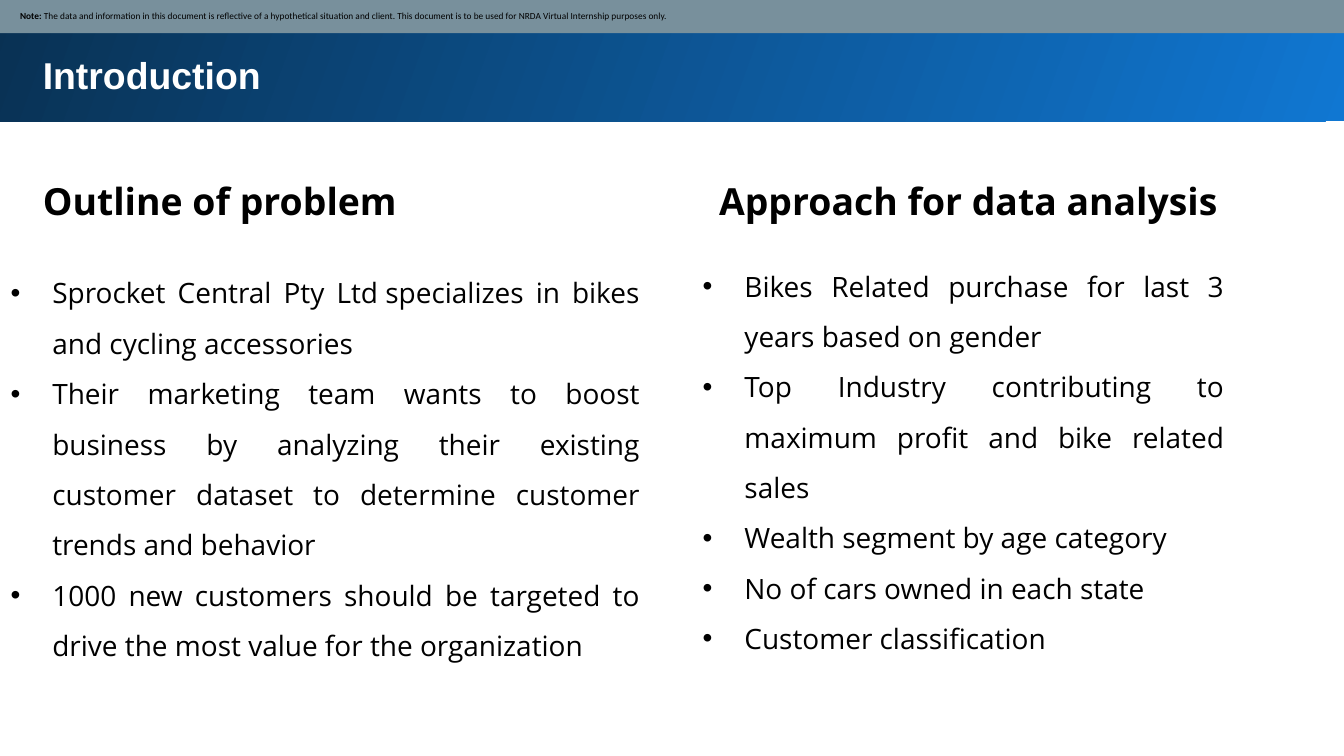
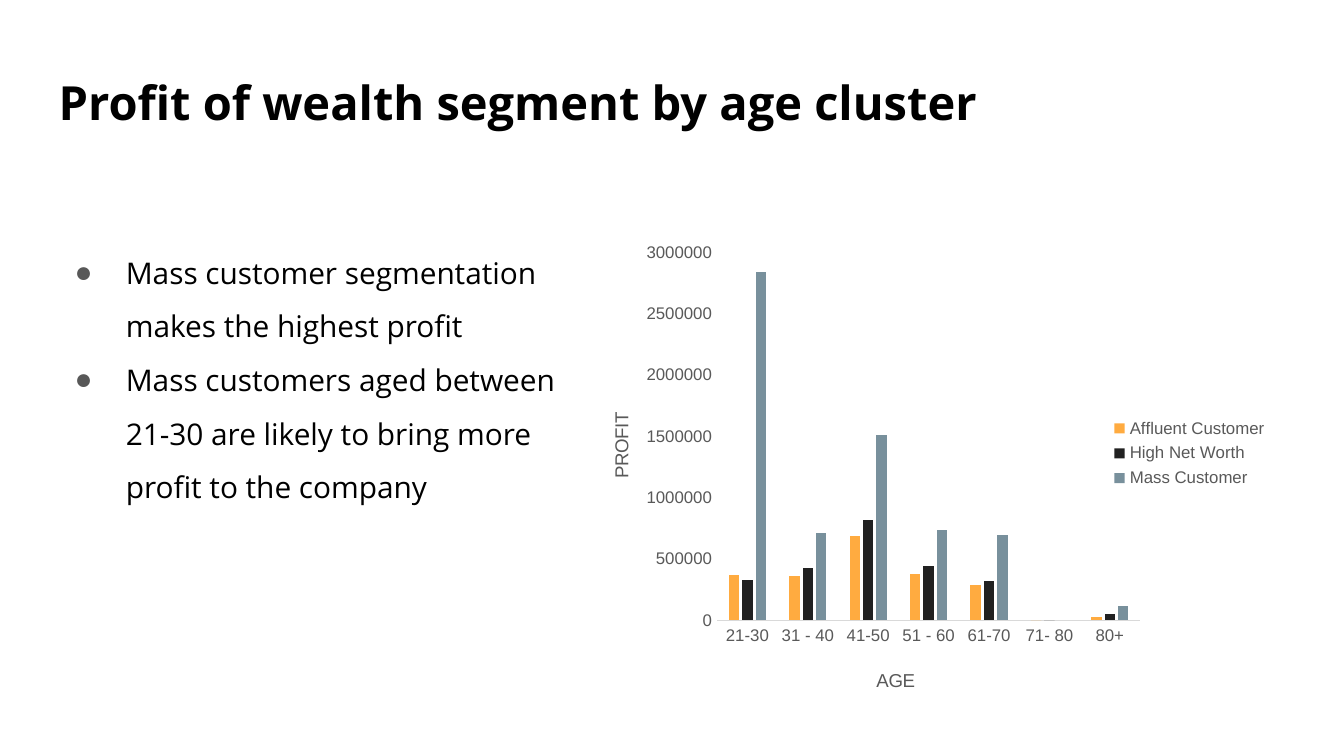
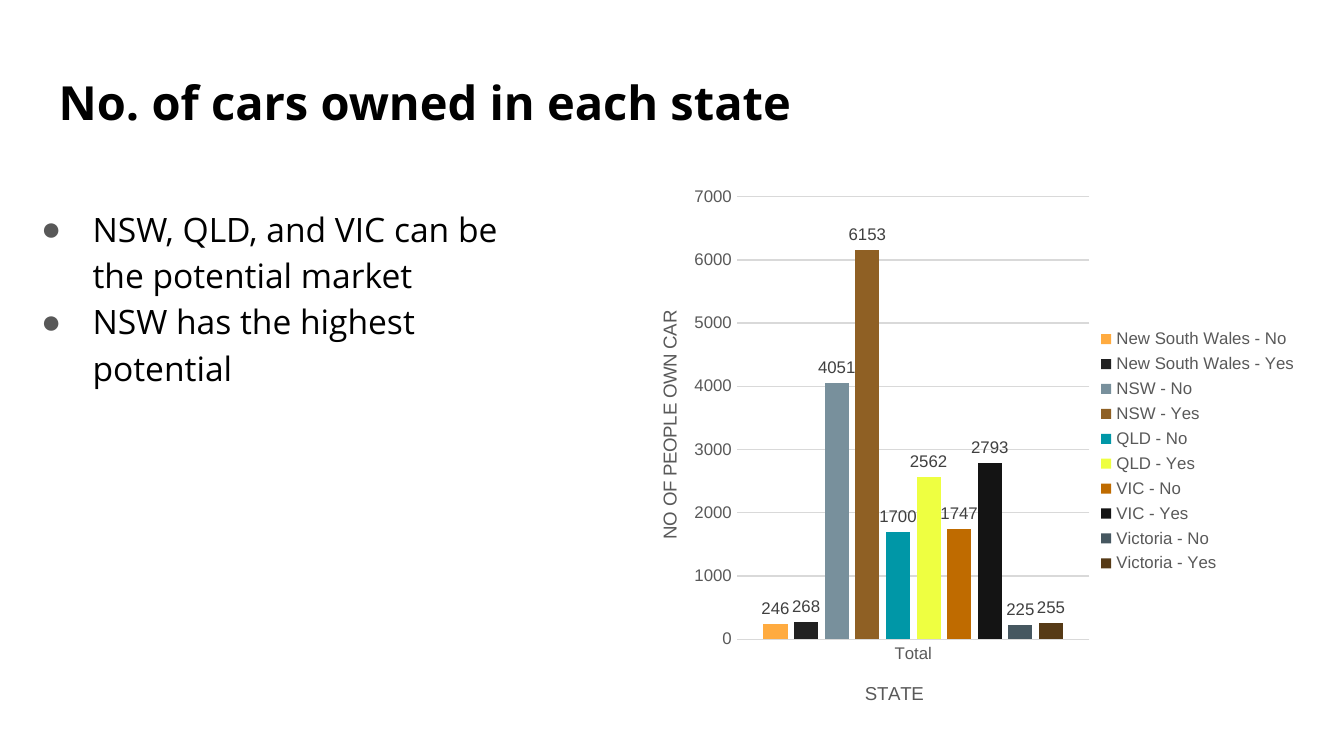
from dataclasses import dataclass
from typing import Optional

from lxml.etree import SubElement
from pptx import Presentation
from pptx.chart.data import CategoryChartData
from pptx.dml.color import RGBColor
from pptx.enum.chart import XL_CHART_TYPE as ChartType
from pptx.enum.chart import XL_LABEL_POSITION as LabelPosition
from pptx.enum.chart import XL_LEGEND_POSITION as LegendPosition
from pptx.enum.chart import XL_TICK_MARK as TickMark
from pptx.enum.shapes import MSO_SHAPE as Preset
from pptx.enum.text import MSO_ANCHOR as Anchor
from pptx.enum.text import PP_ALIGN as Align
from pptx.oxml import parse_xml
from pptx.oxml.ns import nsdecls, qn
from pptx.util import Cm, Pt

COLORS = {
    "white": "FFFFFF", "black": "000000", "slate": "78909C",
    "band_light": "1077D2", "band_dark": "093153",
    "bullet": "585858", "axis": "595959", "label": "404040", "grid": "D9D9D9",
    "orange": "FFAB40", "ink": "212121", "brown": "8F6024", "teal": "0097A7",
    "yellow": "EEFF41", "rust": "BF6B00", "coal": "141414",
    "steel": "465760", "umber": "563A16",
}
BODY_FONT, CHART_FONT, NOTE_FONT = "Open Sans", "Arial", "Calibri"
INSET = 0.25


@dataclass(frozen=True)
class Area:
    """A rectangle in centimetres."""
    left: float
    top: float
    width: float
    height: float

    def lengths(self) -> tuple:
        """Give the four sides as lengths."""
        return tuple(Cm(v) for v in (self.left, self.top, self.width, self.height))


@dataclass(frozen=True)
class Bullet:
    """The bullet character, its hanging indent in centimetres and its colour."""
    char: str
    indent: float
    hang: float
    color: str


@dataclass(frozen=True)
class Series:
    """One set of columns."""
    name: str
    values: tuple
    color: str


@dataclass(frozen=True)
class AxisCaption:
    """An axis title and its place as a fraction of the chart."""
    text: str
    x: float
    y: float


@dataclass(frozen=True)
class ColumnChart:
    """A clustered column chart; plot is x, y, width, height in fractions."""
    area: Area
    categories: tuple
    series: tuple
    across: AxisCaption
    upward: AxisCaption
    plot: tuple
    top_value: int
    step: int
    detailed: bool = False


DOT = Bullet("•", 0.79, 0.79, "black")
DISC = Bullet("●", 1.27, 0.97, "bullet")


def rgb(name: str) -> RGBColor:
    """Look up a colour by name."""
    return RGBColor.from_string(COLORS[name])


def style_font(font, size: float, color: str = "black",
               name: str = BODY_FONT, bold: bool = False) -> None:
    """Set the format of a font."""
    font.size, font.name, font.bold = Pt(size), name, bold
    font.color.rgb = rgb(color)


def add_bullet(para, bullet: Bullet) -> None:
    """Give a paragraph a bullet with a hanging indent."""
    props = para._p.get_or_add_pPr()
    props.set("marL", str(Cm(bullet.indent)))
    props.set("indent", str(-Cm(bullet.hang)))
    tint = SubElement(SubElement(props, qn("a:buClr")), qn("a:srgbClr"))
    tint.set("val", COLORS[bullet.color])
    SubElement(props, qn("a:buFont")).set("typeface", CHART_FONT)
    SubElement(props, qn("a:buChar")).set("char", bullet.char)


def set_insets(frame, inset: float) -> None:
    """Wrap the text and set all four margins."""
    frame.word_wrap = True
    frame.margin_left = frame.margin_right = Cm(inset)
    frame.margin_top = frame.margin_bottom = Cm(inset)


def add_text(page, area: Area, *lines: str, spacing: float = 1.0,
             bullet: Optional[Bullet] = None, align: Align = Align.LEFT,
             **font) -> None:
    """Add a text box with one paragraph for each line."""
    frame = page.shapes.add_textbox(*area.lengths()).text_frame
    set_insets(frame, INSET)
    for number, line in enumerate(lines):
        para = frame.add_paragraph() if number else frame.paragraphs[0]
        para.alignment, para.line_spacing = align, spacing
        if bullet:
            add_bullet(para, bullet)
        span = para.add_run()
        span.text = line
        style_font(span.font, **font)


def add_bar(page, area: Area):
    """Add a rectangle without line or shadow."""
    bar = page.shapes.add_shape(Preset.RECTANGLE, *area.lengths())
    bar.shadow.inherit = False
    bar.line.fill.background()
    return bar


def add_band(page, title: str) -> None:
    """Draw the gradient band with its title."""
    fill = add_bar(page, Area(-0.05, -0.05, 25.53, 2.34)).fill
    fill.gradient()
    fill.gradient_angle = 160
    for stop, place, color in zip(fill.gradient_stops, (0, 1),
                                  ("band_light", "band_dark")):
        stop.position, stop.color.rgb = place, rgb(color)
    add_text(page, Area(0.56, 0.74, 23.8, 1.3), title,
             size=20, color="white", name=CHART_FONT, bold=True)


def add_note(page, lead: str, text: str) -> None:
    """Draw the note strip along the top edge."""
    strip = add_bar(page, Area(-0.03, -0.03, 25.48, 0.66))
    strip.fill.solid()
    strip.fill.fore_color.rgb = rgb("slate")
    frame = strip.text_frame
    set_insets(frame, 0.13)
    frame.margin_left = Cm(0.41)
    frame.vertical_anchor = Anchor.MIDDLE
    para = frame.paragraphs[0]
    para.alignment = Align.LEFT
    for part, bold in ((lead, True), (text, False)):
        span = para.add_run()
        span.text = part
        style_font(span.font, 5, name=NOTE_FONT, bold=bold)


def place_part(parent, index: int, **places: float) -> None:
    """Put a manual layout into a chart part."""
    for old in parent.findall(qn("c:layout")):
        parent.remove(old)
    inner = '<c:layoutTarget val="inner"/>' if "w" in places else ""
    modes = "".join(f'<c:{key}Mode val="edge"/>' for key in "xy")
    sizes = "".join(f'<c:{key} val="{value}"/>' for key, value in places.items())
    parent.insert(index, parse_xml(
        f'<c:layout {nsdecls("c")}><c:manualLayout>{inner}{modes}{sizes}'
        "</c:manualLayout></c:layout>"))


def style_axis(axis, caption: AxisCaption) -> None:
    """Set the labels, ticks and title of an axis."""
    axis.major_tick_mark = axis.minor_tick_mark = TickMark.NONE
    style_font(axis.tick_labels.font, 9, "axis", CHART_FONT)
    para = axis.axis_title.text_frame.paragraphs[0]
    span = para.add_run()
    span.text = caption.text
    style_font(span.font, 10, "axis", CHART_FONT)
    place_part(axis.axis_title.element, 1, x=caption.x, y=caption.y)


def style_line(line) -> None:
    """Make a thin grey chart line."""
    line.color.rgb, line.width = rgb("grid"), Pt(0.75)


def add_columns(page, model: ColumnChart) -> None:
    """Draw a column chart with a legend at the right."""
    data = CategoryChartData()
    data.categories = model.categories
    for item in model.series:
        data.add_series(item.name, item.values)
    chart = page.shapes.add_chart(
        ChartType.COLUMN_CLUSTERED, *model.area.lengths(), data).chart
    style_font(chart.font, 10, name=CHART_FONT)
    chart.has_title = False
    chart.has_legend = True
    chart.legend.position = LegendPosition.RIGHT
    chart.legend.include_in_layout = False
    style_font(chart.legend.font, 9, "axis", CHART_FONT)

    style_axis(chart.category_axis, model.across)
    style_line(chart.category_axis.format.line)
    scale = chart.value_axis
    style_axis(scale, model.upward)
    scale.format.line.fill.background()
    scale.minimum_scale, scale.maximum_scale = 0, model.top_value
    scale.major_unit = model.step
    scale.has_major_gridlines = model.detailed
    if model.detailed:
        style_line(scale.major_gridlines.format.line)

    plot = chart.plots[0]
    plot.vary_by_categories = False
    plot.gap_width, plot.overlap = 219, -27
    for columns, item in zip(plot.series, model.series):
        columns.format.fill.solid()
        columns.format.fill.fore_color.rgb = rgb(item.color)
        if model.detailed:
            labels = columns.data_labels
            labels.show_value = True
            labels.position = LabelPosition.OUTSIDE_END
            style_font(labels.font, 9, "label", CHART_FONT)
    plot_area = chart.element.find(".//" + qn("c:plotArea"))
    place_part(plot_area, 0, **dict(zip("xywh", model.plot)))


def add_page(deck):
    """Add a blank white page."""
    page = deck.slides.add_slide(deck.slide_layouts[6])
    page.background.fill.solid()
    page.background.fill.fore_color.rgb = rgb("white")
    return page


def add_chart_page(deck, title: str, body: Area, points: tuple, size: float,
                   spacing: float, model: ColumnChart) -> None:
    """Add a page with a title, bullet points and a chart."""
    page = add_page(deck)
    add_text(page, Area(0.86, 1.23, 23.67, 1.6), title,
             size=25.2, bold=True, spacing=0.93)
    add_text(page, body, *points, size=size, spacing=spacing, bullet=DISC)
    add_columns(page, model)


def add_introduction(deck) -> None:
    """Add the page with the problem and the approach."""
    page = add_page(deck)
    add_band(page, "Introduction")
    add_note(page, "Note: ",
             "The data and information in this document is reflective of a "
             "hypothetical situation and client. This document is to be used "
             "for NRDA Virtual Internship purposes only.")
    columns = (
        ("Outline of problem", 0.56, Area(-0.05, 4.65, 12.4, 7.14), (
            "Sprocket Central Pty Ltd\u00a0specializes in bikes and cycling accessories",
            "Their marketing team wants to boost business by analyzing their "
            "existing customer dataset to determine customer trends and behavior",
            "1000 new customers should be targeted to drive the most value "
            "for the organization")),
        ("Approach for data analysis", 13.34, Area(13.03, 4.52, 10.36, 7.14), (
            "Bikes Related purchase for last 3 years based on gender",
            "Top Industry contributing to maximum profit and bike related sales",
            "Wealth segment by age category",
            "No of cars owned in each state",
            "Customer classification")),
    )
    for heading, left, area, points in columns:
        add_text(page, Area(left, 3, 11.02, 1.42), heading,
                 size=20, bold=True, spacing=1.15)
        add_text(page, area, *points, size=15, spacing=1.5,
                 bullet=DOT, align=Align.JUSTIFY)


PROFIT = ColumnChart(
    Area(10.19, 3.3, 14.02, 10.54),
    ("21-30", "31 - 40", "41-50", "51 - 60", "61-70", "71- 80", "80+"),
    (Series("Affluent Customer",
            (370000, 360000, 690000, 380000, 290000, 0, 30000), "orange"),
     Series("High Net Worth",
            (330000, 430000, 820000, 440000, 320000, 0, 50000), "ink"),
     Series("Mass Customer",
            (2840000, 710000, 1510000, 740000, 700000, None, 120000), "slate")),
    AxisCaption("AGE", 0.45, 0.88), AxisCaption("PROFIT", 0.09, 0.42),
    (0.24, 0.14, 0.57, 0.66), 3000000, 500000)

CARS = ColumnChart(
    Area(11.71, 3.3, 13.06, 10.46),
    ("Total",),
    tuple(Series(name, (count,), color) for name, count, color in (
        ("New South Wales - No", 246, "orange"),
        ("New South Wales - Yes", 268, "ink"),
        ("NSW - No", 4051, "slate"),
        ("NSW - Yes", 6153, "brown"),
        ("QLD - No", 1700, "teal"),
        ("QLD - Yes", 2562, "yellow"),
        ("VIC - No", 1747, "rust"),
        ("VIC - Yes", 2793, "coal"),
        ("Victoria - No", 225, "steel"),
        ("Victoria - Yes", 255, "umber"))),
    AxisCaption("STATE", 0.35, 0.91),
    AxisCaption("NO OF PEOPLE OWN CAR", 0.05, 0.24),
    (0.17, 0.04, 0.51, 0.8), 7000, 1000, detailed=True)


def main() -> None:
    """Build and save the deck."""
    deck = Presentation()
    deck.slide_width, deck.slide_height = Cm(25.4), Cm(14.29)
    add_introduction(deck)
    add_chart_page(
        deck, "Profit of wealth segment by age cluster",
        Area(0.86, 4.22, 10.69, 9.04),
        ("Mass customer segmentation makes the highest profit",
         "Mass customers aged between 21-30 are likely to bring more profit "
         "to the company"),
        16, 1.5, PROFIT)
    add_chart_page(
        deck, "No. of cars owned in each state",
        Area(0.23, 3.58, 10.44, 9.47),
        ("NSW, QLD, and VIC can be the potential market",
         "NSW has the highest potential"),
        18, 1.15, CARS)
    deck.save("out.pptx")


main()
